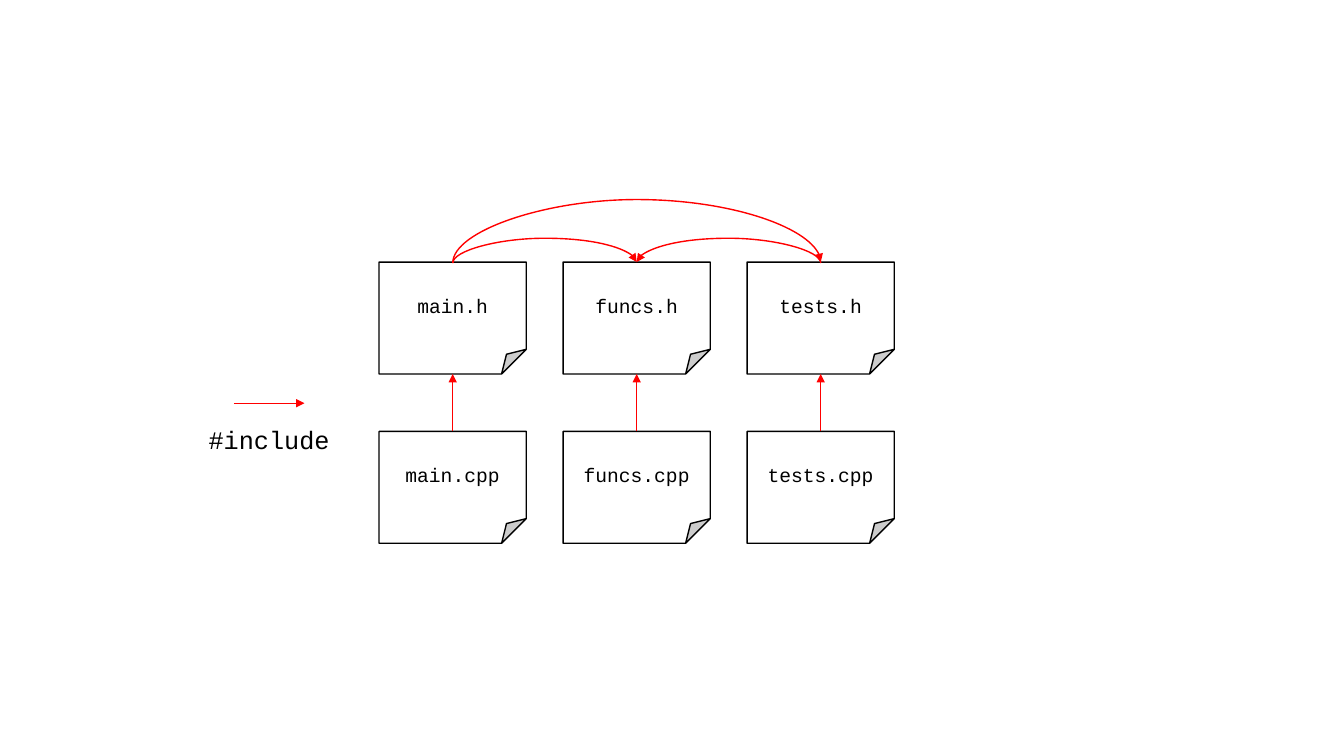
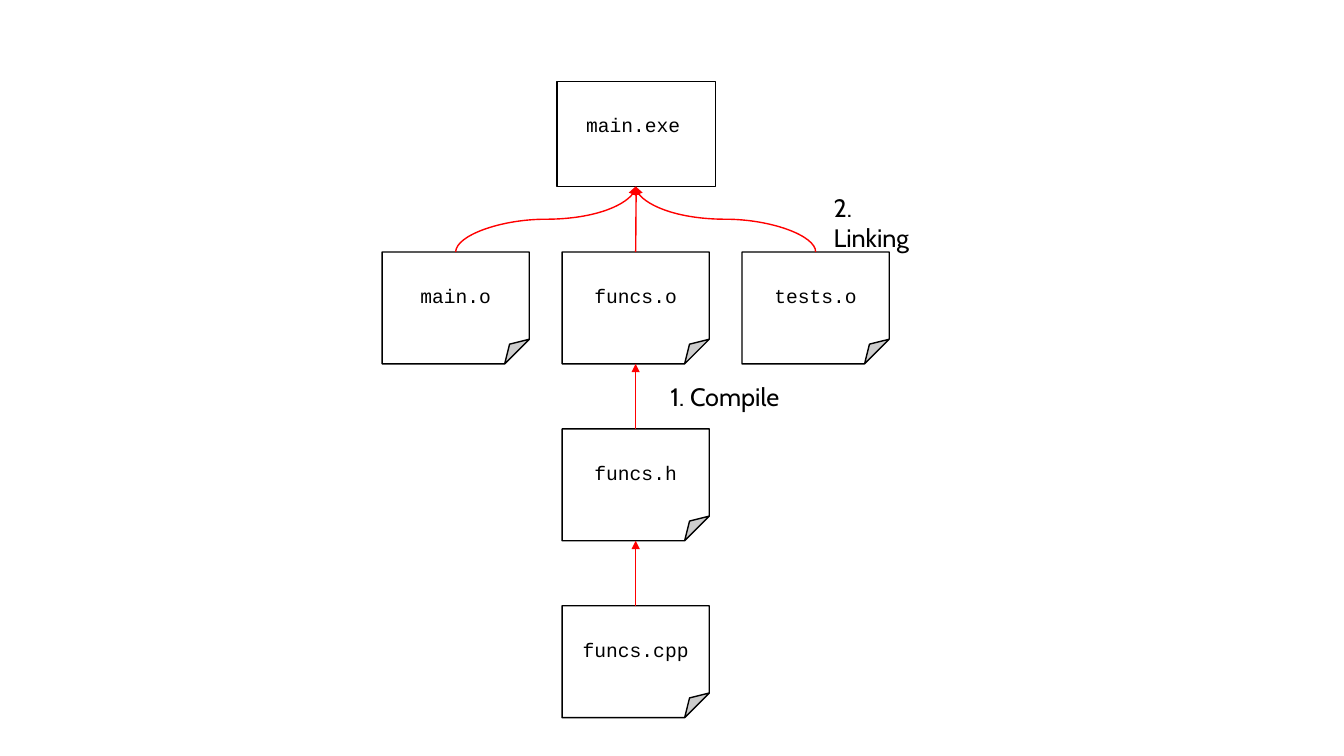
import dataclasses

import lxml.etree
import pptx
import pptx.dml.color
import pptx.enum.shapes
import pptx.enum.text
import pptx.oxml.ns
import pptx.util

COLOURS = {"ink": "000000", "paper": "FFFFFF", "arrow": "FF0000"}
CODE_FONT = "Courier New"
LABEL_FONT = "Cabin"
FILE_SIZE = 14
LABEL_SIZE = 18
FILE_WIDTH, FILE_HEIGHT = 1.46, 1.11
FOLD = 0.22
TOP_SITE, BOTTOM_SITE = 0, 2
NEARLY_LEVEL = 0.01

SHAPES = pptx.enum.shapes.MSO_SHAPE
CONNECTORS = pptx.enum.shapes.MSO_CONNECTOR
inches = pptx.util.Inches
qn = pptx.oxml.ns.qn


@dataclasses.dataclass
class Box:
    left: float
    top: float
    width: float
    height: float

    @property
    def middle(self):
        return self.left + self.width / 2

    @property
    def bottom(self):
        return self.top + self.height

    def inner(self, left, top, width, height):
        return Box(self.left + left, self.top + top, width, height)

    def cell(self, column, row, columns, rows):
        across = (self.width - FILE_WIDTH) / (columns - 1)
        down = (self.height - FILE_HEIGHT) / (rows - 1)
        return self.inner(column * across, row * down, FILE_WIDTH, FILE_HEIGHT)

    def lengths(self):
        return [inches(value) for value in dataclasses.astuple(self)]


def colour(name):
    return pptx.dml.color.RGBColor.from_string(COLOURS[name])


def set_text(frame, text, font, size):
    frame.text = text
    for span in frame.paragraphs[0].runs:
        span.font.name = font
        span.font.size = pptx.util.Pt(size)
        span.font.color.rgb = colour("ink")


def set_guide(shape, name, share):
    guides = shape._element.spPr.find(qn("a:prstGeom")).get_or_add_avLst()
    value = f"val {round(share * 100000)}"
    lxml.etree.SubElement(guides, qn("a:gd"), name=name, fmla=value)


def add_outline(page, kind, box):
    shape = page.shapes.add_shape(kind, *box.lengths())
    shape.shadow.inherit = False
    shape.line.color.rgb = colour("ink")
    shape.line.width = pptx.util.Pt(1)
    return shape


def add_file(page, box, name):
    shape = add_outline(page, SHAPES.FOLDED_CORNER, box)
    set_guide(shape, "adj", FOLD)
    shape.fill.solid()
    shape.fill.fore_color.rgb = colour("paper")
    frame = shape.text_frame
    set_text(frame, name, CODE_FONT, FILE_SIZE)
    frame.vertical_anchor = pptx.enum.text.MSO_ANCHOR.MIDDLE
    frame.paragraphs[0].alignment = pptx.enum.text.PP_ALIGN.CENTER
    return shape


def add_label(page, box, text, font=LABEL_FONT, size=LABEL_SIZE, wrap=False):
    frame = page.shapes.add_textbox(*box.lengths()).text_frame
    frame.word_wrap = wrap
    set_text(frame, text, font, size)


def add_arrow(page, kind, start, end):
    ends = [inches(value) for value in (*start, *end)]
    arrow = page.shapes.add_connector(kind, *ends)
    arrow.line.color.rgb = colour("arrow")
    arrow.line.width = pptx.util.Pt(1)
    line = arrow.line._get_or_add_ln()
    lxml.etree.SubElement(line, qn("a:tailEnd"), type="triangle")
    lxml.etree.SubElement(arrow._element.spPr, qn("a:effectLst"))
    return arrow


def link_up(page, lower, upper):
    arrow = add_arrow(page, CONNECTORS.STRAIGHT, (0, 0), (1, 1))
    arrow.begin_connect(lower, TOP_SITE)
    arrow.end_connect(upper, BOTTOM_SITE)


def curve_up(page, start, end, lift):
    reach = abs(end[0] - start[0])
    rise = start[1] - end[1]
    arrow = add_arrow(page, CONNECTORS.CURVE, start, end)
    arrow.left = inches((start[0] + end[0] - rise) / 2)
    arrow.top = inches((start[1] + end[1] - reach) / 2)
    arrow.width, arrow.height = inches(rise), inches(reach)
    to_right = end[0] > start[0]
    frame = arrow._element.spPr.find(qn("a:xfrm"))
    frame.set("rot", str((90 if to_right else 270) * 60000))
    frame.set("flipH", "1" if to_right else "0")
    frame.set("flipV", "1")
    set_guide(arrow, "adj1", lift / rise)


def add_legend(page, area):
    level = area.top
    add_arrow(page, CONNECTORS.STRAIGHT,
              (area.left + 0.35, level), (area.left + 1.05, level))
    add_label(page, area.inner(0, 0.16, area.width, 0.4), "#include", CODE_FONT)


def add_include_graph(page, area):
    names = ["main", "funcs", "tests"]
    tops = []
    for column, name in enumerate(names):
        header_box = area.cell(column, 0, len(names), 2)
        header = add_file(page, header_box, f"{name}.h")
        source = add_file(page, area.cell(column, 1, len(names), 2), f"{name}.cpp")
        link_up(page, source, header)
        tops.append(header_box.middle)
    for start, end, lift in [(0, 1, 0.25), (0, 2, 0.64), (2, 1, 0.25)]:
        curve_up(page, (tops[start], area.top + NEARLY_LEVEL),
                 (tops[end], area.top), lift)


def add_program(page, box):
    shape = add_outline(page, SHAPES.RECTANGLE, box)
    shape.fill.background()
    add_label(page, box.inner(0.19, 0.26, 1.2, 0.64), "main.exe",
              CODE_FONT, FILE_SIZE, wrap=True)
    return shape


def add_build_graph(page, area):
    program_box = Box(area.middle - 0.78, area.top, 1.57, 1.04)
    program = add_program(page, program_box)
    files = area.inner(0, 1.69, area.width, area.height - 1.69)
    objects = []
    for column, name in enumerate(["main.o", "funcs.o", "tests.o"]):
        box = files.cell(column, 0, 3, 3)
        objects.append(add_file(page, box, name))
        if column != 1:
            target = (area.middle, program_box.bottom)
            curve_up(page, (box.middle, box.top), target,
                     (box.top - program_box.bottom) / 2)
    chain = [program, objects[1]]
    for row, name in enumerate(["funcs.h", "funcs.cpp"], start=1):
        chain.append(add_file(page, files.cell(1, row, 3, 3), name))
    for upper, lower in zip(chain, chain[1:]):
        link_up(page, lower, upper)
    add_label(page, area.inner(2.76, 2.92, 1.3, 0.4), "1. Compile")
    add_label(page, area.inner(4.38, 1.05, 1.15, 0.4), "2. Linking", wrap=True)


def main():
    deck = pptx.Presentation()
    deck.slide_width, deck.slide_height = inches(13.33), inches(7.5)
    blank = deck.slide_layouts[6]

    include_page = deck.slides.add_slide(blank)
    add_include_graph(include_page, Box(3.76, 2.6, 5.11, 2.79))
    add_legend(include_page, Box(1.97, 4, 1.41, 0.56))

    build_page = deck.slides.add_slide(blank)
    add_build_graph(build_page, Box(3.79, 0.81, 5.03, 6.31))

    deck.save("out.pptx")


if __name__ == "__main__":
    main()
